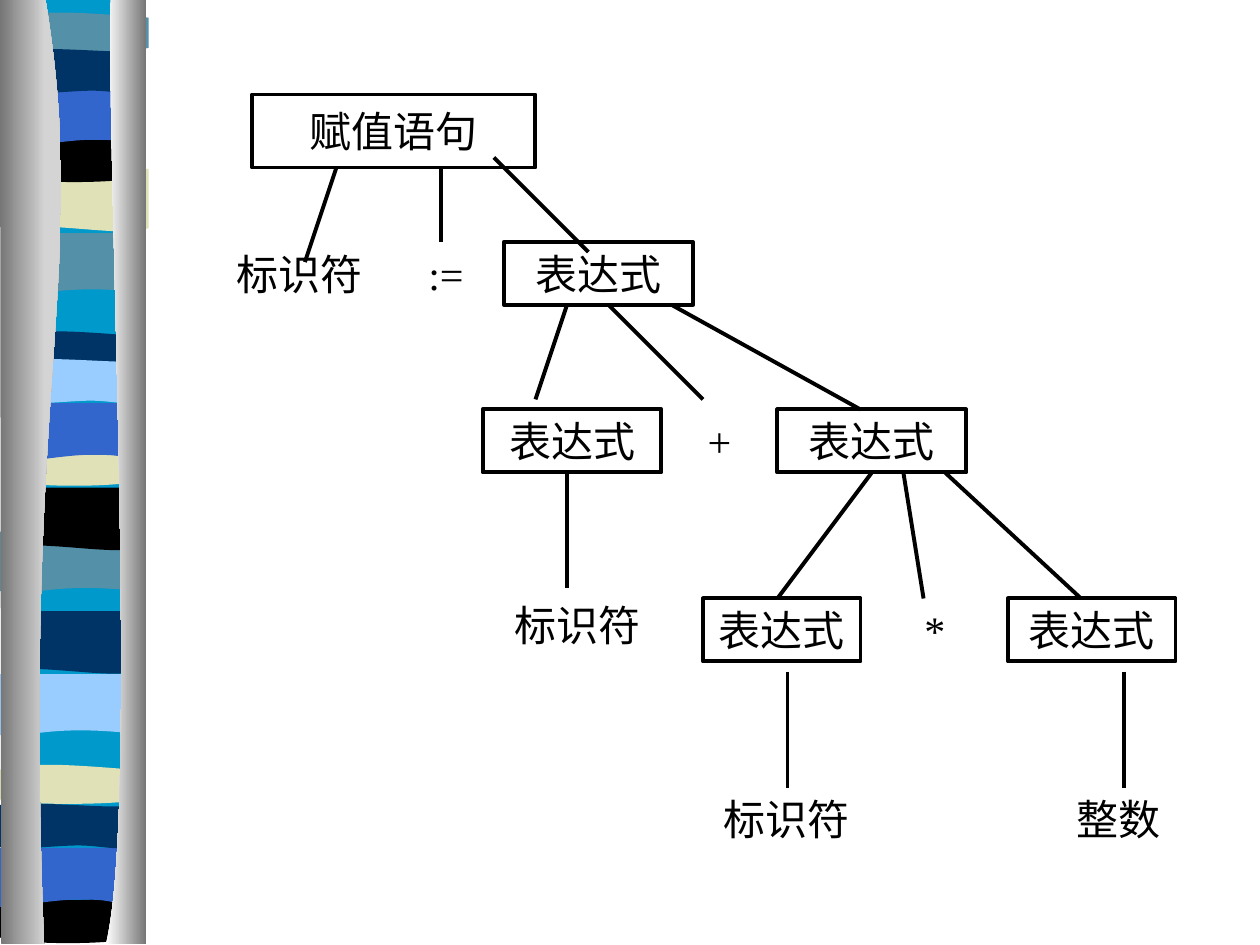
"""Build a slide with the parse tree of an assignment statement beside a striped border."""
from dataclasses import dataclass

from lxml.etree import Element, SubElement
from pptx import Presentation
from pptx.dml.color import RGBColor
from pptx.enum.shapes import MSO_CONNECTOR, MSO_SHAPE
from pptx.enum.text import MSO_ANCHOR, PP_ALIGN
from pptx.oxml.ns import qn
from pptx.util import Inches, Pt


@dataclass(frozen=True)
class Theme:
    """Colours, font and sizes of the slide."""
    ink: str = "000000"
    paper: str = "FFFFFF"
    cyan: str = "0099CC"
    teal: str = "5490A8"
    cream: str = "E1E1B7"
    blue: str = "3366CC"
    navy: str = "003366"
    sky: str = "99CCFF"
    shade: str = "767676"
    sheen: str = "D4D4D4"
    font: str = "Times New Roman"
    text_size: int = 24
    stroke: float = 2.25


THEME = Theme()

MOTIFS = {
    "sag": [(0, 0), (1.08, 0), (1.08, 0.47), (0.33, 0.39, 0.18, 0.55, 0, 0.47)],
    "swell": [(0, 0), (1.08, 0), (1.08, 0.47), (0.9, 0.55, 0.33, 0.42, 0, 0.47)],
    "crest": [(1.08, 0), (1.08, 0.24), (0.9, 0.28, 0.18, 0.28, 0, 0.24), (0, 0),
              (0.07, -0.05, 0.24, -0.04, 0.42, -0.04),
              (0.6, -0.04, 0.95, -0.01, 1.08, 0)],
    "dip": [(1.08, 0), (1.08, 0.32), (0.9, 0.38, 0.18, 0.38, 0, 0.32), (0, 0),
            (0.67, 0.05, 0.86, 0, 1.08, 0)],
    "arch": [(0, 0), (1.08, 0), (1.08, 0.47), (0.91, 0.41, 0.84, 0.41, 0.66, 0.41),
             (0.48, 0.41, 0.16, 0.47, 0, 0.47)],
    "ripple": [(1.08, 0), (1.08, 0.31), (1.01, 0.36, 0.85, 0.31, 0.67, 0.31),
               (0.49, 0.31, 0.11, 0.36, 0, 0.31), (0, 0),
               (0.15, -0.05, 0.74, 0, 0.92, 0), (1.1, 0, 1.05, 0, 1.08, 0)],
}
BACKING = [(0.06, -0.01), (1.14, -0.01), (1.14, 7.47), (0.06, 7.47)]
BANDS = [
    ("sag", 0.05, 1.85, THEME.teal), ("swell", 0.1, 1.34, THEME.cream),
    ("crest", 0.1, 0.14, THEME.teal), ("dip", 0.05, 1.08, THEME.ink),
    ("arch", 0.06, 0.7, THEME.blue), ("ripple", 0.06, 0.41, THEME.navy),
    ("sag", 0, 4.22, THEME.teal), ("swell", 0.05, 3.87, THEME.ink),
    ("crest", 0.05, 2.67, THEME.navy), ("dip", 0.05, 3.49, THEME.cream),
    ("arch", 0.05, 3.2, THEME.blue), ("ripple", 0.05, 2.87, THEME.sky),
    ("sag", -0.04, 5.35, THEME.sky), ("swell", 0.02, 4.85, THEME.navy),
    ("crest", 0, 6.11, THEME.cream), ("dip", 0, 7.12, THEME.ink),
    ("arch", -0.05, 6.73, THEME.blue), ("ripple", -0.05, 6.4, THEME.navy),
]
EDGES = [
    ([(0, -0.01), (0.36, -0.01), (0.72, 2.16, 0.17, 2.96, 0.35, 7.49), (0.01, 7.49)],
     (THEME.shade, THEME.sheen)),
    ([(0.88, -0.01), (0.84, 1.25, 1.11, 6.46, 0.84, 7.49), (1.16, 7.49), (1.16, 0)],
     (THEME.paper, THEME.shade)),
]

NODES = [
    ("赋值语句", 2, 0.75, 2.25, 0.58, True),
    ("标识符", 1.67, 1.92, 1.42, 0.5, False),
    (":=", 3.25, 1.92, 0.58, 0.5, False),
    ("表达式", 4, 1.92, 1.5, 0.5, True),
    ("表达式", 3.83, 3.25, 1.42, 0.5, True),
    ("+", 5.42, 3.25, 0.58, 0.5, False),
    ("表达式", 6.17, 3.25, 1.5, 0.5, True),
    ("标识符", 3.92, 4.67, 1.33, 0.58, False),
    ("表达式", 5.58, 4.75, 1.25, 0.5, True),
    ("*", 7.17, 4.75, 0.5, 0.5, False),
    ("表达式", 8, 4.75, 1.33, 0.5, True),
    ("标识符", 5.58, 6.25, 1.33, 0.5, False),
    ("整数", 8.25, 6.25, 1.25, 0.5, False),
]
BRANCHES = [
    (2.67, 1.33, 2.42, 2.08), (3.5, 1.33, 3.5, 1.92), (3.92, 1.25, 4.67, 2),
    (4.5, 2.42, 4.25, 3.17), (4.83, 2.42, 5.58, 3.17), (5.33, 2.42, 6.83, 3.25),
    (4.5, 3.75, 4.5, 4.67), (6.92, 3.75, 6.17, 4.75), (7.17, 3.75, 7.33, 4.75),
    (7.5, 3.75, 8.58, 4.75), (6.25, 5.33, 6.25, 6.25), (8.92, 5.33, 8.92, 6.25),
]


def color(value):
    return RGBColor.from_string(value)


def fill_solid(shape, value):
    shape.fill.solid()
    shape.fill.fore_color.rgb = color(value)


def bend_segments(shape, outline, left, top):
    lines = list(shape._element.iter(qn("a:lnTo")))
    for line, segment in zip(lines, outline[1:]):
        if len(segment) == 6:
            line.tag = qn("a:cubicBezTo")
            for index in (0, 1):
                x, y = segment[2 * index:2 * index + 2]
                line.insert(index, Element(qn("a:pt"), x=str(Inches(left + x) - shape.left),
                                           y=str(Inches(top + y) - shape.top)))


def add_outline(slide, outline, left=0, top=0):
    points = [(Inches(left + segment[-2]), Inches(top + segment[-1])) for segment in outline]
    builder = slide.shapes.build_freeform(*points[0], scale=1.0)
    builder.add_line_segments(points[1:], close=True)
    shape = builder.convert_to_shape()
    bend_segments(shape, outline, left, top)
    shape.shadow.inherit = False
    shape.line.fill.background()
    return shape


def add_border(slide):
    fill_solid(add_outline(slide, BACKING), THEME.cyan)
    for motif, left, top, value in BANDS:
        fill_solid(add_outline(slide, MOTIFS[motif], left, top), value)
    for outline, values in EDGES:
        fill = add_outline(slide, outline).fill
        fill.gradient()
        fill.gradient_angle = 0
        for stop, value in zip(fill.gradient_stops, values):
            stop.color.rgb = color(value)


def add_node(slide, text, left, top, width, height, framed):
    shape = slide.shapes.add_shape(MSO_SHAPE.RECTANGLE, Inches(left), Inches(top),
                                   Inches(width), Inches(height))
    shape.shadow.inherit = False
    fill_solid(shape, THEME.paper)
    shape.line.color.rgb = color(THEME.ink if framed else THEME.paper)
    shape.line.width = Pt(THEME.stroke)
    frame = shape.text_frame
    frame.word_wrap = False
    frame.vertical_anchor = MSO_ANCHOR.MIDDLE
    paragraph = frame.paragraphs[0]
    paragraph.text = text
    paragraph.alignment = PP_ALIGN.CENTER
    paragraph.font.name = THEME.font
    paragraph.font.size = Pt(THEME.text_size)
    paragraph.font.color.rgb = color(THEME.ink)


def add_branch(slide, *ends):
    connector = slide.shapes.add_connector(MSO_CONNECTOR.STRAIGHT, *map(Inches, ends))
    connector.line.color.rgb = color(THEME.ink)
    connector.line.width = Pt(THEME.stroke)
    SubElement(connector._element.spPr, qn("a:effectLst"))


presentation = Presentation()
presentation.slide_width, presentation.slide_height = Inches(10), Inches(7.5)
slide = presentation.slides.add_slide(presentation.slide_layouts[6])
add_border(slide)
for node in NODES:
    add_node(slide, *node)
for branch in BRANCHES:
    add_branch(slide, *branch)
presentation.save("out.pptx")
